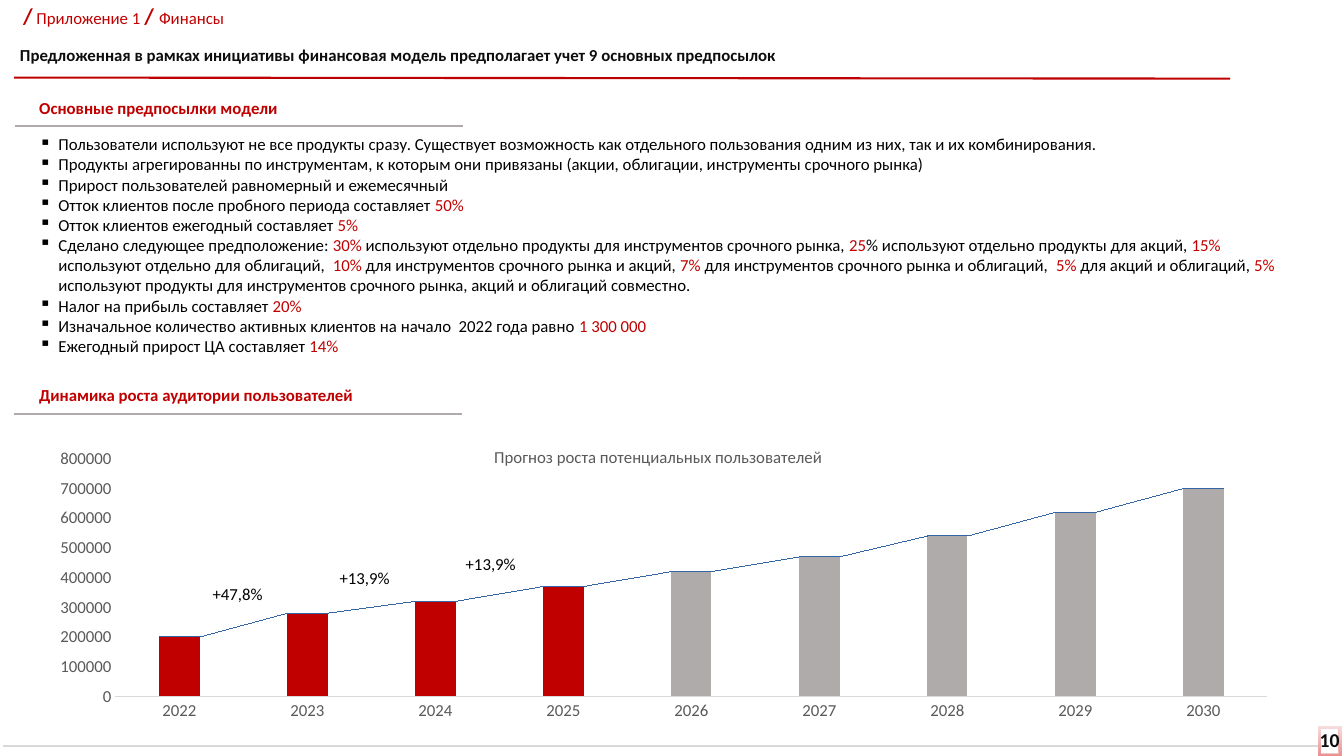
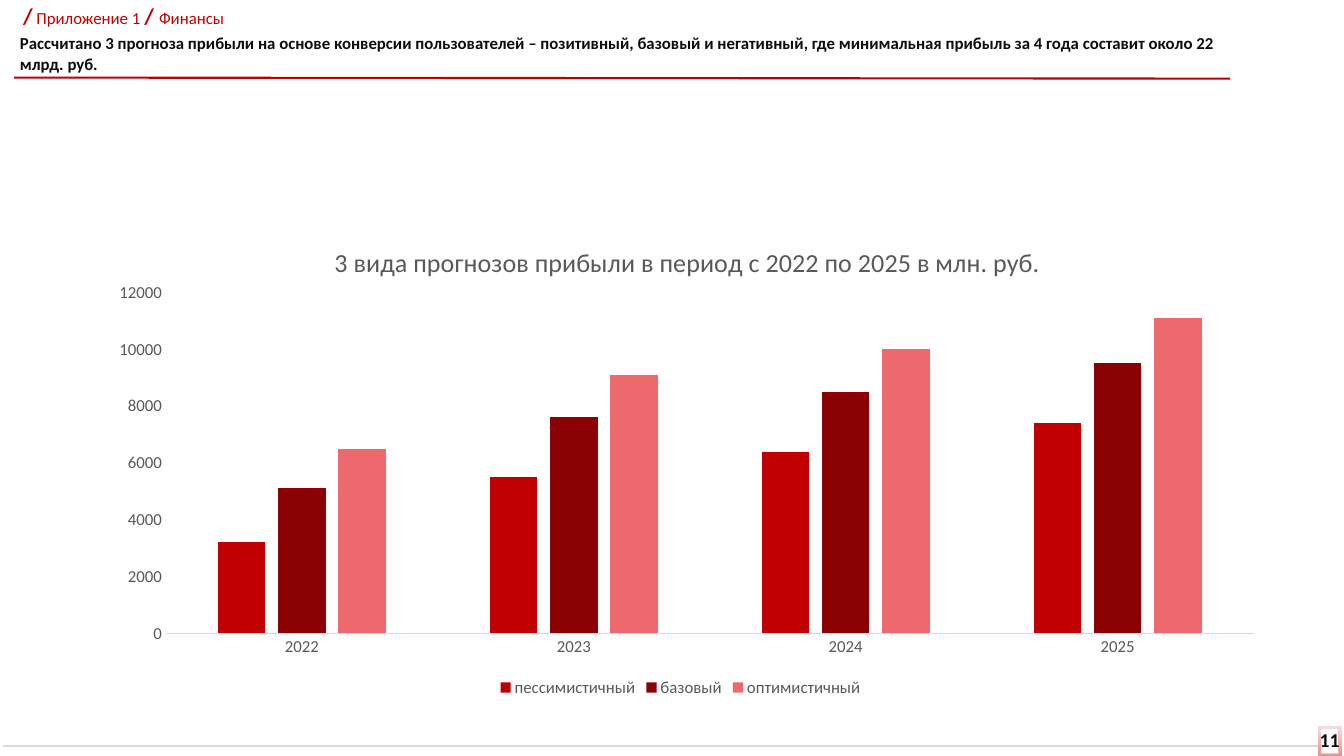
from dataclasses import dataclass
from typing import NamedTuple

from lxml.etree import SubElement
from pptx import Presentation
from pptx.chart.chart import Chart
from pptx.chart.data import CategoryChartData
from pptx.dml.color import RGBColor
from pptx.enum.chart import XL_CHART_TYPE, XL_LEGEND_POSITION, XL_TICK_MARK
from pptx.enum.shapes import MSO_CONNECTOR, MSO_SHAPE
from pptx.enum.text import MSO_AUTO_SIZE
from pptx.oxml.ns import qn
from pptx.slide import Slide
from pptx.text.text import Font
from pptx.util import Inches, Pt

FONT = "Calibri"
RED = "C00000"
DARK_RED = "8B0205"
PINK = "EE696E"
BLACK = "000000"
INK = "0D0D0D"
GRAY = "AFABAB"
LIGHT_GRAY = "D9D9D9"
CHART_TEXT = "595959"
SERIES_LINE = "4472C4"
FRAME_DARK = "E98F8F"
FRAME_LIGHT = "F7DEDE"


class Box(NamedTuple):
    left: float
    top: float
    width: float
    height: float

    def lengths(self) -> list[int]:
        return [Inches(value) for value in self]


class Series(NamedTuple):
    name: str
    values: tuple[int, ...]
    color: str


class Section(NamedTuple):
    title: str
    text_box: Box
    line_left: float
    line_top: float


class Growth(NamedTuple):
    text: str
    left: float
    top: float


@dataclass(frozen=True)
class ColumnChart:
    kind: XL_CHART_TYPE
    box: Box
    title: str
    title_size: float
    title_place: tuple[float, float]
    plot_place: Box
    categories: tuple[str, ...]
    series: tuple[Series, ...]
    overlap: int
    maximum: int
    step: int


ASSUMPTIONS = (
    "Пользователи используют не все продукты сразу. Существует возможность как отдельного "
    "пользования одним из них, так и их комбинирования.",
    "Продукты агрегированны по инструментам, к которым они привязаны "
    "(акции, облигации, инструменты срочного рынка)",
    "Прирост пользователей равномерный и ежемесячный",
    "Отток клиентов после пробного периода составляет *50%*",
    "Отток клиентов ежегодный составляет *5%*",
    "Сделано следующее предположение: *30% *используют отдельно продукты для инструментов "
    "срочного рынка, *25*% используют отдельно продукты для акций, *15%* используют отдельно "
    "для облигаций,  *10%* для инструментов срочного рынка и акций, *7% *для инструментов "
    "срочного рынка и облигаций,  *5% *для акций и облигаций, *5% *используют продукты для "
    "инструментов срочного рынка, акций и облигаций совместно.",
    "Налог на прибыль составляет *20%*",
    "Изначальное количество активных клиентов на начало  2022 года равно *1 300 000*",
    "Ежегодный прирост ЦА составляет *14%*",
)
SECTIONS = (
    Section("Основные предпосылки модели", Box(0.29, 0.92, 2.62, 0.3), 0.15, 1.25),
    Section("Динамика роста аудитории пользователей", Box(0.29, 3.77, 3.33, 0.3), 0.14, 4.11),
)
GROWTH_LABELS = (
    Growth("+47,8%", 2.01, 5.74),
    Growth("+13,9%", 3.27, 5.58),
    Growth("+13,9%", 4.52, 5.44),
)
AUDIENCE_CHART = ColumnChart(
    kind=XL_CHART_TYPE.COLUMN_STACKED,
    box=Box(0.4, 3.97, 12.42, 3.23),
    title="Прогноз роста потенциальных пользователей",
    title_size=12,
    title_place=(0.36, 0.13),
    plot_place=Box(0.06, 0.18, 0.92, 0.73),
    categories=tuple(str(year) for year in range(2022, 2031)),
    series=(
        Series(
            "Series 1",
            (200000, 280000, 320000, 370000, 420000, 470000, 540000, 620000, 700000),
            RED,
        ),
    ),
    overlap=100,
    maximum=800000,
    step=100000,
)
PROFIT_CHART = ColumnChart(
    kind=XL_CHART_TYPE.COLUMN_CLUSTERED,
    box=Box(0.95, 2.13, 11.6, 4.83),
    title="3 вида прогнозов прибыли в период с 2022 по 2025 в млн. руб.",
    title_size=18.6,
    title_place=(0.2, 0.05),
    plot_place=Box(0.06, 0.16, 0.93, 0.7),
    categories=tuple(str(year) for year in range(2022, 2026)),
    series=(
        Series("пессимистичный", (3200, 5500, 6400, 7400), RED),
        Series("базовый", (5100, 7600, 8500, 9500), DARK_RED),
        Series("оптимистичный", (6500, 9100, 10000, 11100), PINK),
    ),
    overlap=-27,
    maximum=12000,
    step=2000,
)


def rgb(color: str) -> RGBColor:
    return RGBColor.from_string(color)


def style_font(font: Font, size: float, color: str, bold: bool = False) -> None:
    font.name = FONT
    font.size = Pt(size)
    font.bold = bold
    font.color.rgb = rgb(color)


def add_text(
    slide: Slide,
    box: Box,
    lines: tuple[str, ...],
    color: str = BLACK,
    size: float = 12,
    bold: bool = False,
    wrap: bool = True,
    bullet: str = "",
) -> None:
    frame = slide.shapes.add_textbox(*box.lengths()).text_frame
    frame.word_wrap = wrap
    frame.auto_size = MSO_AUTO_SIZE.SHAPE_TO_FIT_TEXT
    for index, line in enumerate(lines):
        paragraph = frame.add_paragraph() if index else frame.paragraphs[0]
        style_font(paragraph.font, size, color, bold)
        if bullet:
            properties = paragraph._p.get_or_add_pPr()
            properties.set("marL", str(Inches(0.19)))
            properties.set("indent", str(-Inches(0.19)))
            mark = properties.makeelement(qn("a:buChar"), {"char": bullet})
            properties.insert(0, mark)
        for position, part in enumerate(line.split("*")):
            if part:
                run = paragraph.add_run()
                run.text = part
                if position % 2:
                    run.font.color.rgb = rgb(RED)


def add_line(
    slide: Slide, start: tuple[float, float], end: tuple[float, float], color: str
) -> None:
    points = [Inches(value) for value in (*start, *end)]
    connector = slide.shapes.add_connector(MSO_CONNECTOR.STRAIGHT, *points)
    connector.line.color.rgb = rgb(color)
    connector.line.width = Pt(1.5)
    SubElement(connector._element.spPr, qn("a:effectLst"))


def add_breadcrumb(slide: Slide) -> None:
    frame = slide.shapes.add_textbox(*Box(0.13, -0.03, 2.22, 0.37).lengths()).text_frame
    frame.word_wrap = False
    frame.auto_size = MSO_AUTO_SIZE.SHAPE_TO_FIT_TEXT
    paragraph = frame.paragraphs[0]
    style_font(paragraph.font, 12, RED)
    for text in ("/", " Приложение 1 ", "/ ", "Финансы"):
        run = paragraph.add_run()
        run.text = text
        if text.startswith("/"):
            run.font.size = Pt(16)
            run.font.bold = True


def add_page_number(slide: Slide, number: int) -> None:
    shape = slide.shapes.add_shape(MSO_SHAPE.FRAME, *Box(13.07, 7.2, 0.24, 0.31).lengths())
    shape.shadow.inherit = False
    shape.line.fill.background()
    shape.fill.gradient()
    shape.fill.gradient_angle = 90
    for stop, color in zip(shape.fill.gradient_stops, (FRAME_DARK, FRAME_LIGHT)):
        stop.color.rgb = rgb(color)
    add_text(slide, Box(12.99, 7.17, 0.51, 0.57), (str(number),), INK, size=14, bold=True)


def add_base_slide(presentation, number: int, title: str, title_box: Box) -> Slide:
    slide = presentation.slides.add_slide(presentation.slide_layouts[6])
    add_breadcrumb(slide)
    add_line(slide, (0.14, 0.77), (12.2, 0.78), RED)
    add_line(slide, (0.03, 7.4), (13.08, 7.4), LIGHT_GRAY)
    add_page_number(slide, number)
    add_text(slide, title_box, (title,), INK, bold=True)
    return slide


def place_part(part, index: int, settings: dict[str, str | float]) -> None:
    for layout in part.findall(qn("c:layout")):
        part.remove(layout)
    layout = part.makeelement(qn("c:layout"), {})
    part.insert(index, layout)
    manual = SubElement(layout, qn("c:manualLayout"))
    for name, value in settings.items():
        SubElement(manual, qn(f"c:{name}")).set("val", str(value))


def add_column_chart(slide: Slide, spec_chart: ColumnChart) -> Chart:
    data = CategoryChartData()
    data.categories = spec_chart.categories
    for series in spec_chart.series:
        data.add_series(series.name, series.values)
    chart = slide.shapes.add_chart(spec_chart.kind, *spec_chart.box.lengths(), data).chart
    style_font(chart.font, 12, CHART_TEXT)

    chart.has_title = True
    paragraph = chart.chart_title.text_frame.paragraphs[0]
    paragraph.text = spec_chart.title
    style_font(paragraph.font, spec_chart.title_size, CHART_TEXT)
    edges = {"xMode": "edge", "yMode": "edge"}
    left, top = spec_chart.title_place
    place_part(chart.element.find(".//" + qn("c:title")), 1, edges | {"x": left, "y": top})
    plot_box = spec_chart.plot_place
    place_part(
        chart.element.find(".//" + qn("c:plotArea")),
        0,
        {"layoutTarget": "inner"} | edges
        | {"x": plot_box.left, "y": plot_box.top, "w": plot_box.width, "h": plot_box.height},
    )

    for axis in (chart.category_axis, chart.value_axis):
        axis.major_tick_mark = axis.minor_tick_mark = XL_TICK_MARK.NONE
        axis.has_major_gridlines = False
        style_font(axis.tick_labels.font, 12, CHART_TEXT)
    chart.category_axis.format.line.color.rgb = rgb(LIGHT_GRAY)
    chart.category_axis.format.line.width = Pt(0.75)
    chart.value_axis.format.line.fill.background()
    chart.value_axis.minimum_scale = 0
    chart.value_axis.maximum_scale = spec_chart.maximum
    chart.value_axis.major_unit = spec_chart.step

    plot = chart.plots[0]
    plot.gap_width = 219
    plot.overlap = spec_chart.overlap
    plot.vary_by_categories = False
    for drawn, series in zip(plot.series, spec_chart.series):
        drawn.format.fill.solid()
        drawn.format.fill.fore_color.rgb = rgb(series.color)

    chart.has_legend = len(spec_chart.series) > 1
    if chart.has_legend:
        chart.legend.position = XL_LEGEND_POSITION.BOTTOM
        chart.legend.include_in_layout = False
        style_font(chart.legend.font, 12, CHART_TEXT)
    return chart


def add_series_lines(chart: Chart) -> None:
    bars = chart.element.find(".//" + qn("c:barChart"))
    lines = bars.makeelement(qn("c:serLines"), {})
    bars.find(qn("c:overlap")).addnext(lines)
    outline = SubElement(SubElement(lines, qn("c:spPr")), qn("a:ln"), w=str(Pt(0.75)))
    SubElement(SubElement(outline, qn("a:solidFill")), qn("a:srgbClr"), val=SERIES_LINE)


def add_assumptions_slide(presentation) -> None:
    title = "Предложенная в рамках инициативы финансовая модель предполагает учет 9 основных предпосылок"
    slide = add_base_slide(presentation, 10, title, Box(0.1, 0.39, 12.1, 0.3))
    add_text(slide, Box(0.29, 1.28, 12.68, 2.32), ASSUMPTIONS, bullet="▪")
    for section in SECTIONS:
        add_text(slide, section.text_box, (section.title,), RED, bold=True, wrap=False)
        start = (section.line_left, section.line_top)
        add_line(slide, start, (section.line_left + 4.44, section.line_top), GRAY)
    chart = add_column_chart(slide, AUDIENCE_CHART)
    add_series_lines(chart)
    for index in range(4, len(AUDIENCE_CHART.categories)):
        fill = chart.plots[0].series[0].points[index].format.fill
        fill.solid()
        fill.fore_color.rgb = rgb(GRAY)
    for label in GROWTH_LABELS:
        add_text(slide, Box(label.left, label.top, 0.71, 0.3), (label.text,), wrap=False)


def add_profit_slide(presentation) -> None:
    title = (
        "Рассчитано 3 прогноза прибыли на основе конверсии пользователей – позитивный, базовый "
        "и негативный, где минимальная прибыль за 4 года составит около 22 млрд. руб."
    )
    slide = add_base_slide(presentation, 11, title, Box(0.1, 0.28, 12.1, 0.5))
    add_column_chart(slide, PROFIT_CHART)


def main() -> None:
    presentation = Presentation()
    presentation.slide_width = Inches(13.33)
    presentation.slide_height = Inches(7.5)
    add_assumptions_slide(presentation)
    add_profit_slide(presentation)
    presentation.save("out.pptx")


if __name__ == "__main__":
    main()
